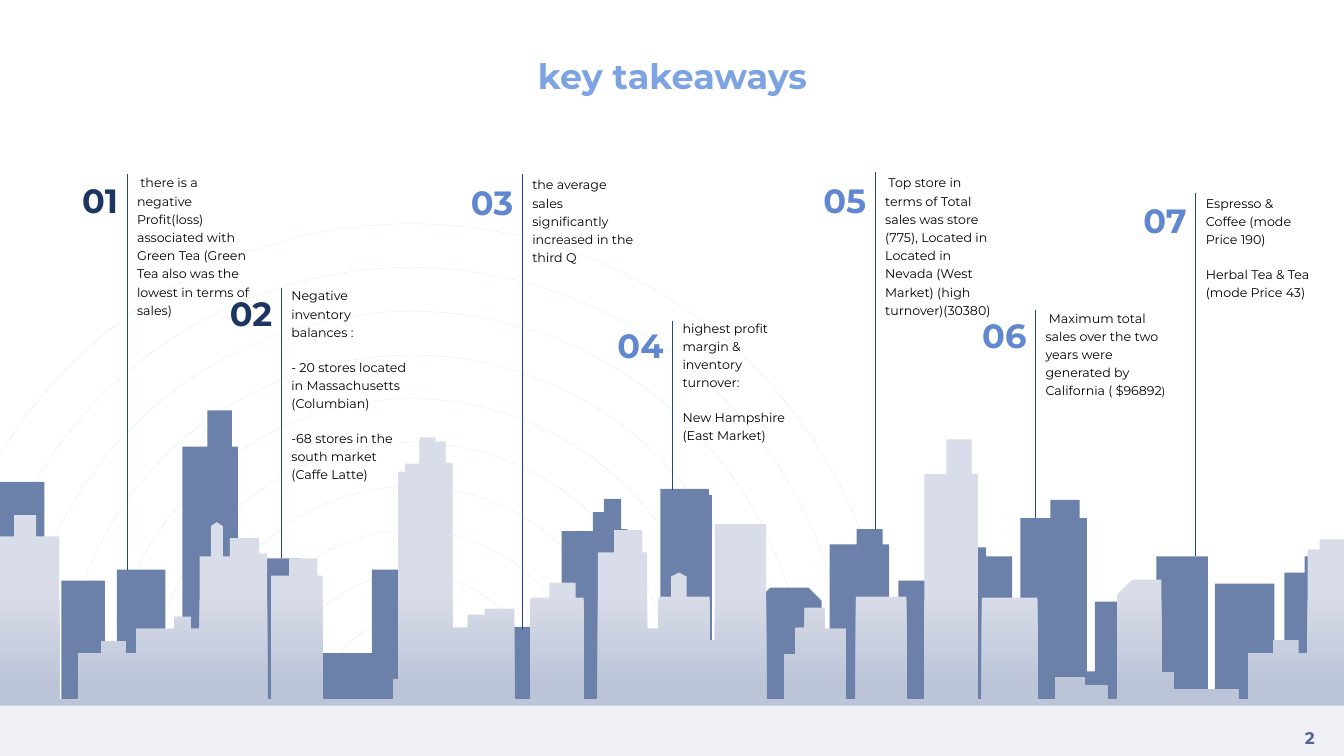
from dataclasses import dataclass

from lxml import etree
from pptx import Presentation
from pptx.dml.color import RGBColor
from pptx.enum import shapes as kinds, text as txt
from pptx.oxml import ns
from pptx.util import Inches, Pt


@dataclass(frozen=True)
class Theme:
    font: str = "Montserrat"
    paper: str = "FFFFFF"
    title: str = "7EA3E2"
    ink: str = "000000"
    dark_number: str = "1C3561"
    number: str = "6087D0"
    stem: str = "264681"
    ring: str = "09A695"
    far_city: str = "6B81A9"
    near_city: tuple = ((0.57, "D9DDE9"), (0.91, "BCC4D8"))
    ground: str = "EFF0F6"
    page: str = "53628E"
    title_size: float = 25
    number_size: float = 24
    page_size: float = 12
    body_size: float = 9
    small_size: float = 8


@dataclass(frozen=True)
class Box:
    left: float
    top: float
    width: float
    height: float

    def lengths(self):
        return [Inches(v) for v in (self.left, self.top, self.width, self.height)]


THEME = Theme()
PAGE = Box(0, 0, 13.33, 7.5)
CITY = Box(0, 0, 13.33, 7.05)
STREET_HEIGHT = 0.11
GABLE_PEAK = 0.04


def stepped(*storeys):
    outline, x = [], 0
    for width, height in storeys:
        outline += [(x, height), (x + width, height)]
        x += width
    return outline


def block(width, height):
    return stepped((width, height))


def street(width):
    return block(width, STREET_HEIGHT)


def crowned(width, height, rise, start=0.45, span=0.44):
    sides = width * start, width * span, width * (1 - start - span)
    return stepped(*zip(sides, (height, height + rise, height)))


def gabled(width, height, rise, start, span):
    outline = crowned(width, height, rise, start, span)
    peak = width * (start + span / 2), height + rise + GABLE_PEAK
    return outline[:3] + [peak] + outline[3:]


def chamfered(width, height, left_cut, right_cut=0):
    return [(0, height - left_cut), (left_cut, height),
            (width - right_cut, height), (width, height - right_cut)]


FAR_CITY = [
    block(0.44, 2.27), street(0.17), block(0.43, 1.29), street(0.12), block(0.48, 1.4),
    street(0.17), crowned(0.55, 2.62, 0.36), street(0.06), block(0.55, 1.51), street(0.13),
    stepped((0.59, 0.57), (0.56, 1.4)), street(0.79),
    stepped((0.53, 0.83), (0.31, 1.78), (0.11, 1.97), (0.17, 2.1), (0.06, 1.8)), street(0.33),
    stepped((0.48, 2.2), (0.03, 2.14)), street(0.45), chamfered(0.64, 1.22, 0.13, 0.13),
    street(0.08), crowned(0.59, 1.65, 0.15), street(0.09), block(0.52, 1.29), street(0.14),
    stepped((0.21, 1.62), (0.26, 1.53)), street(0.08), crowned(0.66, 1.91, 0.18),
    stepped((0.08, 0.39), (0.53, 1.08)), street(0.08), block(0.51, 1.53), street(0.07),
    block(0.59, 1.26), street(0.1), crowned(0.54, 1.37, 0.16, 0.37, 0.5), street(0.05),
]
NEAR_CITY = [
    crowned(0.59, 1.73, 0.21, 0.24, 0.37), street(0.19), crowned(0.57, 0.57, 0.12, 0.4, 0.42),
    crowned(0.63, 0.81, 0.12, 0.6, 0.26), gabled(0.3, 1.53, 0.3, 0.37, 0.4),
    stepped((0.29, 1.71), (0.08, 1.56)), street(0.04), crowned(0.51, 1.34, 0.17, 0.35, 0.55),
    street(0.7), stepped((0.05, 0.31), (0.07, 2.37), (0.14, 2.45), (0.16, 2.71), (0.1, 2.67),
                         (0.07, 2.46)),
    stepped((0.15, 0.82), (0.17, 0.95), (0.29, 1.01)), street(0.16),
    crowned(0.53, 1.12, 0.15, 0.36, 0.49), street(0.14), crowned(0.49, 1.57, 0.22, 0.33, 0.57),
    block(0.11, 0.81), gabled(0.51, 1.13, 0.2, 0.25, 0.3),
    stepped((0.05, 0.7), (0.51, 1.85)), street(0.18),
    stepped((0.11, 0.56), (0.09, 0.82), (0.2, 1.02), (0.21, 0.81)), street(0.1),
    block(0.5, 1.13), street(0.18), crowned(0.53, 2.35, 0.34, 0.41, 0.47), street(0.04),
    block(0.55, 1.12), street(0.18), stepped((0.29, 0.33), (0.22, 0.25)), street(0.1),
    chamfered(0.44, 1.3, 0.15), stepped((0.12, 0.38), (0.64, 0.21)), street(0.1),
    crowned(0.59, 0.57, 0.13, 0.42, 0.42), stepped((0.12, 1.6), (0.24, 1.7)),
]
TAKEAWAYS = [
    (Box(1.26, 1.71, 1.14, 3.94), 1.73, THEME.dark_number,
     [[" there is a negative Profit(loss) associated with Green Tea "
       "(Green Tea also was the lowest in terms of sales)"]]),
    (Box(2.79, 2.83, 1.16, 2.71), 2.86, THEME.dark_number,
     [["Negative inventory balances :"],
      ["- 20 stores located in Massachusetts (Columbian)"],
      ["-68 stores in the south market (Caffe Latte)"]]),
    (Box(5.18, 1.73, 1.06, 4.52), 1.73, THEME.number,
     [["the average sales significantly increased in the third Q"]]),
    (Box(6.67, 3.15, 1.09, 1.71), 3.18, THEME.number,
     [["highest profit margin & inventory turnover:"], ["New Hampshire (East Market)"]]),
    (Box(8.68, 1.71, 1.14, 3.54), 1.71, THEME.number,
     [[" Top store in terms of Total sales was store (775), Located in "
       "Located in Nevada (West Market) (high turnover)(30380)"]]),
    (Box(10.27, 3.05, 1.2, 2.09), 3.08, THEME.number,
     [[" Maximum total sales over the two years were generated by California ( $96892", ")"]]),
    (Box(11.86, 1.91, 1.04, 3.61), 1.91, THEME.number,
     [["Espresso & Coffee (mode Price 190)"], ["Herbal Tea & Tea (mode Price 43)"]]),
]


def apply(target, formats):
    for attribute, value in formats.items():
        setattr(target, attribute, value)


def margins(horizontal, vertical):
    return {"margin_left": Inches(horizontal), "margin_right": Inches(horizontal),
            "margin_top": Inches(vertical), "margin_bottom": Inches(vertical)}


def write(slide, box, paragraphs, color, size, layout, bold=True, frame=None):
    label = slide.shapes.add_textbox(*box.lengths()).text_frame
    apply(label, {"word_wrap": True, "auto_size": txt.MSO_AUTO_SIZE.SHAPE_TO_FIT_TEXT,
                  **margins(0, 0), **(frame or {})})
    for index, pieces in enumerate(paragraphs):
        paragraph = label.add_paragraph() if index else label.paragraphs[0]
        apply(paragraph, layout)
        for order, piece in enumerate(pieces):
            run = paragraph.add_run()
            run.text = piece
            points = THEME.small_size if order else size
            apply(run.font, {"name": THEME.font, "size": Pt(points), "bold": bold})
            run.font.color.rgb = RGBColor.from_string(color)


def paint(shape, color):
    shape.shadow.inherit = False
    shape.line.fill.background()
    shape.fill.solid()
    shape.fill.fore_color.rgb = RGBColor.from_string(color)


def draw_rings(slide, center_x, center_y):
    radii = [0.44 + 0.434 * step for step in range(10, -1, -1)] + [0.14]
    for radius in radii:
        box = Box(center_x - radius, center_y - radius, 2 * radius, 2 * radius)
        ring = slide.shapes.add_shape(kinds.MSO_SHAPE.OVAL, *box.lengths())
        ring.shadow.inherit = False
        ring.fill.background()
        ring.line.width = Pt(0.25)
        ring.line.color.rgb = RGBColor.from_string(THEME.ring)
        tint = next(ring.line._ln.iter(ns.qn("a:srgbClr")))
        etree.SubElement(tint, ns.qn("a:alpha"), val="15000")


def draw_skyline(slide, box, buildings):
    ground = box.top + box.height
    corners, left = [(box.left, ground)], box.left
    for building in buildings:
        corners += [(left + x, ground - height) for x, height in building]
        left = corners[-1][0]
    corners.append((left, ground))
    points = [(Inches(x), Inches(y)) for x, y in corners]
    builder = slide.shapes.build_freeform(*points[0])
    builder.add_line_segments(points[1:], close=True)
    city = builder.convert_to_shape()
    paint(city, THEME.far_city)
    return city


def shade(city):
    city.fill.gradient()
    city.fill.gradient_angle = 270
    for stop, (position, color) in zip(city.fill.gradient_stops, THEME.near_city):
        stop.position = position
        stop.color.rgb = RGBColor.from_string(color)


def draw_ground(slide, box):
    ground = slide.shapes.add_shape(kinds.MSO_SHAPE.RECTANGLE, *box.lengths())
    paint(ground, THEME.ground)
    page = Box(box.left + 10.81, box.top + 0.14, 2.23, 0.25)
    write(slide, page, [["2"]], THEME.page, THEME.page_size,
          {"alignment": txt.PP_ALIGN.RIGHT, "line_spacing": Pt(20), "space_after": Pt(12)})


def draw_title(slide, box):
    write(slide, box, [["key takeaways"]], THEME.title, THEME.title_size,
          {"alignment": txt.PP_ALIGN.CENTER, "line_spacing": Pt(34)},
          frame={"word_wrap": False, **margins(0.1, 0.05)})


def draw_takeaway(slide, box, stem_top, number, color, paragraphs):
    x = Inches(box.left)
    stem = slide.shapes.add_connector(kinds.MSO_CONNECTOR.STRAIGHT, x, Inches(stem_top),
                                      x, Inches(box.top + box.height))
    stem.line.width = Pt(0.75)
    stem.line.color.rgb = RGBColor.from_string(THEME.stem)
    etree.SubElement(stem._element.spPr, ns.qn("a:effectLst"))
    write(slide, Box(box.left - 0.74, box.top + 0.15, 0.65, 0.33), [[f"{number:02}"]],
          color, THEME.number_size, {"alignment": txt.PP_ALIGN.RIGHT, "line_spacing": 0.8},
          frame={"vertical_anchor": txt.MSO_ANCHOR.MIDDLE})
    write(slide, Box(box.left + 0.1, box.top, box.width, 1.24), paragraphs, THEME.ink,
          THEME.body_size, {"line_spacing": 1.2, "space_after": Pt(12)}, bold=False)


def main():
    deck = Presentation()
    apply(deck, {"slide_width": Inches(PAGE.width), "slide_height": Inches(PAGE.height)})
    slide = deck.slides.add_slide(deck.slide_layouts[6])
    slide.background.fill.solid()
    slide.background.fill.fore_color.rgb = RGBColor.from_string(THEME.paper)
    draw_rings(slide, 4.08, 7)
    draw_skyline(slide, CITY, FAR_CITY)
    draw_title(slide, Box(5.2, 0.44, 2.94, 0.55))
    shade(draw_skyline(slide, CITY, NEAR_CITY))
    draw_ground(slide, Box(0, 7, PAGE.width, 0.5))
    for number, (box, stem_top, color, paragraphs) in enumerate(TAKEAWAYS, 1):
        draw_takeaway(slide, box, stem_top, number, color, paragraphs)
    deck.save("out.pptx")


if __name__ == "__main__":
    main()
